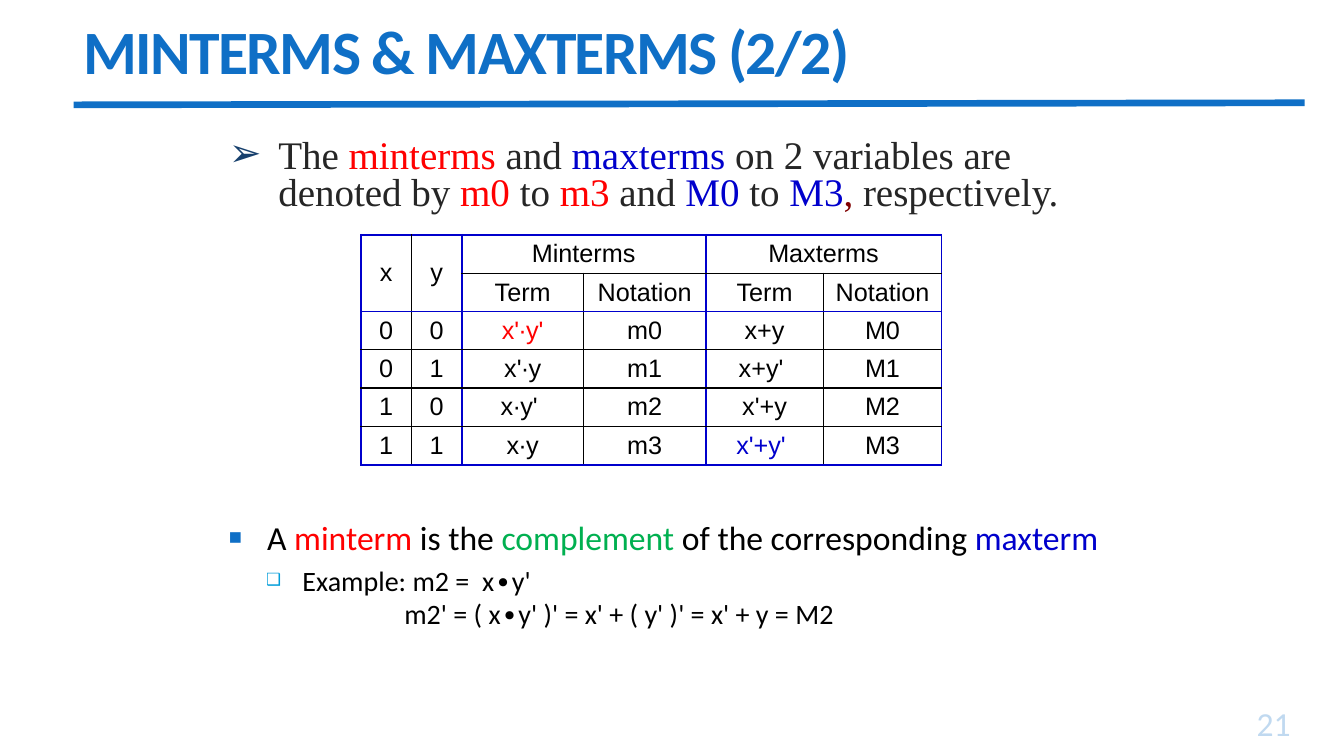
from lxml.etree import SubElement
from pptx import Presentation
from pptx.dml.color import RGBColor
from pptx.enum.shapes import MSO_CONNECTOR as Connector
from pptx.enum.text import MSO_ANCHOR as Anchor, MSO_AUTO_SIZE as AutoSize, PP_ALIGN as Align
from pptx.oxml.ns import qn
from pptx.util import Inches, Pt

WIDTH, HEIGHT = Inches(13.33), Inches(7.5)
COLORS = {"blue": "0F6FC6", "navy": "17406D", "cyan": "009DD9", "ink": "262626",
          "black": "000000", "min": "FF0000", "max": "0000CC", "maroon": "800000",
          "green": "00B050"}

# Boxes are left, top, width, height in percent of the slide.
TITLE_BOX = (5.48, 1.07, 88.37, 12.53)
INTRO_BOX = (16.28, 17.73, 66.24, 13.33)
TABLE_BOX = (26.86, 31.07, 43.2, 30.4)
NOTES_BOX = (16.28, 67.73, 70.67, 22.27)
NUMBER_BOX = (87.02, 93.33, 9.75, 5.6)

INTRO = [("The ", "ink"), ("minterms ", "min"), ("and ", "ink"), ("maxterms ", "max"),
         ("on 2 variables are denoted by ", "ink"), ("m0 ", "min"), ("to ", "ink"),
         ("m3", "min"), (" and ", "ink"), ("M0 ", "max"), ("to ", "ink"), ("M3", "max"),
         (",", "maroon"), (" respectively.", "ink")]
COMPLEMENT = [("A ", "black"), ("minterm ", "min"), ("is the ", "black"),
              ("complement ", "green"), ("of the corresponding ", "black"),
              ("maxterm", "max")]
EXAMPLE = [("Example: m2 =  x∙y'", "black")]
DERIVATION = [("m2' = ( x∙y' )' = x' + ( y' )' = x' + y = M2", "black")]

TERMS = [["x", "y", "Minterms", "", "Maxterms", ""],
         ["", "", "Term", "Notation", "Term", "Notation"],
         ["0", "0", "x'∙y'", "m0", "x+y", "M0"],
         ["0", "1", "x'∙y", "m1", "x+y' ", "M1"],
         ["1", "0", "x∙y' ", "m2", "x'+y", "M2"],
         ["1", "1", "x∙y", "m3", "x'+y' ", "M3"]]
MERGES = [(0, 0, 1, 0), (0, 1, 1, 1), (0, 2, 0, 3), (0, 4, 0, 5)]
COLUMN_SHARES = (50, 50, 121, 121, 117, 117)
THICK_COLUMNS, THICK_ROWS = (0, 2, 4, 6), (0, 2, 6)
TERM_COLORS = {(2, 2): "min", (5, 4): "max"}


def rgb(name):
    return RGBColor.from_string(COLORS[name])


def scale(box):
    """Turn slide percentages into lengths."""
    return [int(share * side / 100) for share, side in zip(box, (WIDTH, HEIGHT) * 2)]


def place(shape, box):
    shape.left, shape.top, shape.width, shape.height = scale(box)
    frame = shape.text_frame
    frame.word_wrap = True
    frame.auto_size = AutoSize.NONE
    return frame


def style(font, name, size, color):
    font.name, font.size = name, Pt(size)
    font.color.rgb = rgb(color)


def set_bullet(para, left, hanging, char=None, color=None, percent=100):
    props = para._p.get_or_add_pPr()
    props.set("marL", str(Inches(left)))
    props.set("indent", str(-Inches(hanging)))
    if char is None:
        SubElement(props, qn("a:buNone"))
        return
    tint = SubElement(props, qn("a:buClr"))
    SubElement(tint, qn("a:srgbClr"), val=COLORS[color])
    SubElement(props, qn("a:buSzPct"), val=str(percent * 1000))
    SubElement(props, qn("a:buChar"), char=char)


def write_spans(para, spans, name, size, before=0, spacing=1.0):
    para.space_before, para.line_spacing = Pt(before), spacing
    for text, color in spans:
        span = para.add_run()
        span.text = text
        style(span.font, name, size, color)


def add_heading(page, box):
    frame = place(page.shapes.title, box)
    frame.text = "MINTERMS & MAXTERMS (2/2)"
    frame.vertical_anchor = Anchor.MIDDLE
    para = frame.paragraphs[0]
    para.alignment, para.line_spacing = Align.LEFT, 0.85
    span = para.runs[0]
    style(span.font, "Calibri", 44, "blue")
    span.font.bold = True
    span._r.get_or_add_rPr().set("spc", "-120")
    x1, y1, x2, y2 = scale((box[0], 13.87, 97.07, 13.6))
    rule = page.shapes.add_connector(Connector.STRAIGHT, x1, y1, x2, y2)
    rule.line.color.rgb, rule.line.width = rgb("blue"), Pt(4.75)
    SubElement(rule._element.spPr, qn("a:effectLst"))


def add_intro(page, box):
    para = place(page.placeholders[1], box).paragraphs[0]
    set_bullet(para, 0.49, 0.49, "➢", "navy")
    write_spans(para, INTRO, "Times New Roman", 27.9, spacing=0.8)


def set_borders(cell, row, column):
    edges = {"lnL": column in THICK_COLUMNS,
             "lnR": column + cell.span_width in THICK_COLUMNS,
             "lnT": row in THICK_ROWS,
             "lnB": row + cell.span_height in THICK_ROWS}
    props = cell._tc.get_or_add_tcPr()
    for tag, thick in edges.items():
        line = SubElement(props, qn(f"a:{tag}"), w=str(Pt(1.5 if thick else 1)))
        fill = SubElement(line, qn("a:solidFill"))
        SubElement(fill, qn("a:srgbClr"), val=COLORS["max" if thick else "black"])


def add_terms_table(page, box):
    left, top, width, height = scale(box)
    table = page.shapes.add_table(len(TERMS), len(COLUMN_SHARES),
                                  left, top, width, height).table
    table.first_row = table.horz_banding = False
    for column, share in zip(table.columns, COLUMN_SHARES):
        column.width = int(width * share / sum(COLUMN_SHARES))
    for row1, column1, row2, column2 in MERGES:
        table.cell(row1, column1).merge(table.cell(row2, column2))
    for row, texts in enumerate(TERMS):
        for column, text in enumerate(texts):
            cell = table.cell(row, column)
            cell.margin_top = cell.margin_bottom = Inches(0.04)
            if not cell.is_spanned:
                cell.text = text
                para = cell.text_frame.paragraphs[0]
                para.alignment = Align.CENTER
                color = TERM_COLORS.get((row, column), "black")
                style(para.runs[0].font, "Arial", 18, color)
                cell.vertical_anchor = Anchor.MIDDLE
                set_borders(cell, row, column)
            cell.fill.background()
    for row in table.rows:
        row.height = int(height / len(TERMS))


def add_notes(page, box):
    frame = place(page.placeholders[2], box)
    statement = frame.paragraphs[0]
    set_bullet(statement, 0.38, 0.38, "■", "blue", 65)
    write_spans(statement, COMPLEMENT, "Calibri", 24)
    example, derivation = frame.add_paragraph(), frame.add_paragraph()
    example.level = derivation.level = 1
    set_bullet(example, 0.73, 0.36, "❑", "cyan", 60)
    set_bullet(derivation, 1.74, 0)
    write_spans(example, EXAMPLE, "Calibri", 20, before=4)
    write_spans(derivation, DERIVATION, "Calibri", 20)


def add_page_number(page, box):
    frame = place(page.shapes.add_textbox(*scale(box)), box)
    frame.text = "21"
    frame.vertical_anchor = Anchor.BOTTOM
    para = frame.paragraphs[0]
    para.alignment = Align.RIGHT
    span = para.runs[0]
    style(span.font, "Calibri", 24, "blue")
    tint = span._r.rPr.find(".//" + qn("a:srgbClr"))
    SubElement(tint, qn("a:alpha"), val="25000")


def main():
    deck = Presentation()
    deck.slide_width, deck.slide_height = WIDTH, HEIGHT
    page = deck.slides.add_slide(deck.slide_layouts.get_by_name("Two Content"))
    add_heading(page, TITLE_BOX)
    add_intro(page, INTRO_BOX)
    add_terms_table(page, TABLE_BOX)
    add_notes(page, NOTES_BOX)
    add_page_number(page, NUMBER_BOX)
    deck.save("out.pptx")


if __name__ == "__main__":
    main()
